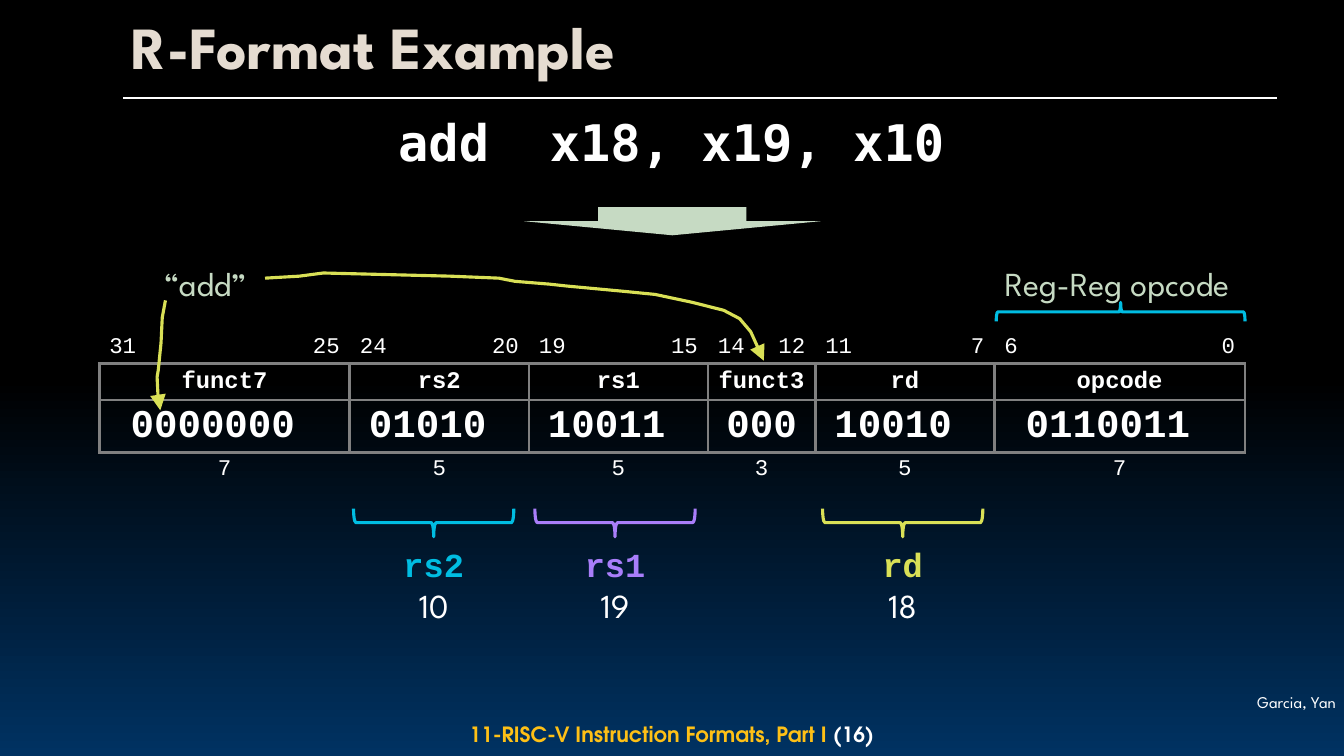
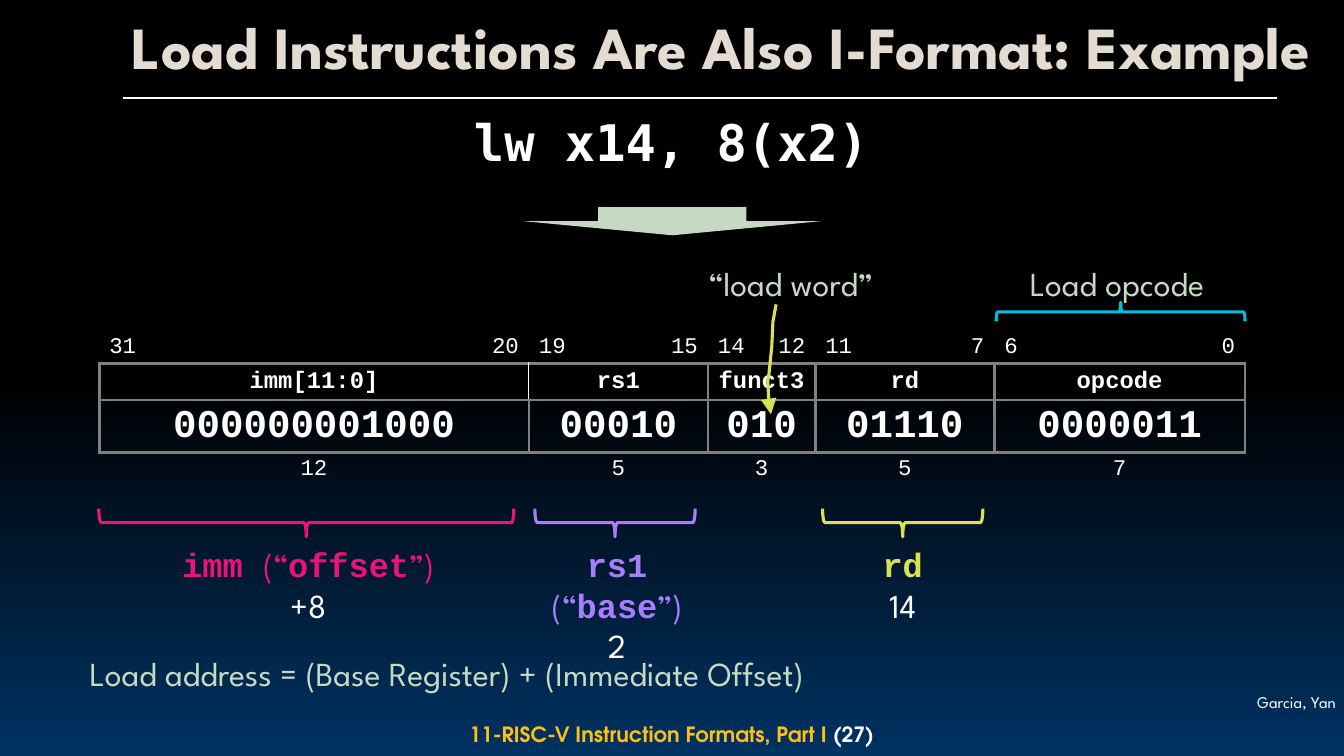
from lxml.etree import SubElement
from pptx import Presentation
from pptx.dml.color import RGBColor
from pptx.enum.shapes import MSO_CONNECTOR, MSO_SHAPE
from pptx.enum.text import MSO_ANCHOR, MSO_AUTO_SIZE, PP_ALIGN
from pptx.oxml import parse_xml
from pptx.oxml.ns import nsdecls, qn
from pptx.util import Cm, Pt

BLACK = RGBColor(0x00, 0x00, 0x00)
NAVY = RGBColor(0x00, 0x32, 0x62)
WHITE = RGBColor(0xFF, 0xFF, 0xFF)
CREAM = RGBColor(0xE5, 0xDC, 0xD1)
GOLD = RGBColor(0xFE, 0xC0, 0x16)
SAGE = RGBColor(0xC6, 0xDA, 0xC3)
GREY = RGBColor(0x80, 0x80, 0x80)
YELLOW = RGBColor(0xD9, 0xE0, 0x56)
PURPLE = RGBColor(0xA9, 0x7E, 0xFA)
CYAN = RGBColor(0x00, 0xBD, 0xE2)
PINK = RGBColor(0xEB, 0x13, 0x79)

SANS = "League Spartan"
MONO = "Courier New"
CODE = "DejaVu Sans Mono"
FOOT = "TeX Gyre Adventor"
NO_GRID = "{2D5ABB26-0587-4C30-8999-92F81FD0307C}"
LEFT, CENTER, RIGHT = PP_ALIGN.LEFT, PP_ALIGN.CENTER, PP_ALIGN.RIGHT

COLUMN_BITS = {3: [1.5, 1.5], 5: [2, 1, 2], 7: [2, 1, 1, 1, 2]}
COLUMN_BITS[12] = COLUMN_BITS[7] + COLUMN_BITS[5]

TO_FUNCT7 = [(4.17, 7.57), (4.09, 8), (4.06, 8.64), (3.99, 9.32),
             (3.96, 9.5), (3.99, 10.13), (4.04, 10.34)]
TO_FUNCT3 = [(6.68, 7.01), (7.54, 6.96), (8.15, 6.88), (11.35, 6.96),
             (12.57, 7.01), (12.98, 7.09), (13.84, 7.16), (14.3, 7.21),
             (15.7, 7.34), (16.51, 7.42), (17.45, 7.62), (18.24, 7.82),
             (18.64, 8.03), (18.92, 8.36), (19.25, 9.09)]


class Deck:
    """Holds the shared style and the slide being drawn."""

    def __init__(self):
        self.prs = Presentation()
        self.prs.slide_width, self.prs.slide_height = Cm(33.87), Cm(19.05)
        self.s = None

    def style(self, r, size, color=WHITE, font=SANS, bold=False):
        r.font.size, r.font.name, r.font.bold = Pt(size), font, bold
        r.font.color.rgb = color

    def text(self, x, y, w, h, paragraphs, size=24, align=CENTER):
        """Adds a text box; each paragraph is a list of (text, colour, font, bold)."""
        tf = self.s.shapes.add_textbox(Cm(x), Cm(y), Cm(w), Cm(h)).text_frame
        tf.word_wrap = True
        for i, runs in enumerate(paragraphs):
            p = tf.add_paragraph() if i else tf.paragraphs[0]
            p.alignment = align
            for text, *look in runs:
                r = p.add_run()
                r.text = text
                self.style(r, size, *look)
        return tf

    def slide(self, title, code, number):
        """Starts a slide with its background, footers, rule, title and instruction."""
        self.s = self.prs.slides.add_slide(self.prs.slide_layouts[5])
        fill = self.s.background.fill
        fill.gradient()
        fill.gradient_angle = 270
        for stop, color, position in zip(fill.gradient_stops, (BLACK, NAVY), (0.5, 1)):
            stop.color.rgb, stop.position = color, position

        tf = self.text(30.21, 17.35, 3.66, 0.66, [[("Garcia, Yan",)]], 11.7, RIGHT)
        tf.margin_left = tf.margin_right = Cm(0.2)
        tf.margin_top = tf.margin_bottom = Cm(0.08)
        tf = self.text(6.22, 18.08, 21.42, 0.82,
                       [[("11-RISC-V Instruction Formats, Part I ", GOLD, FOOT, True),
                         (f"({number})", WHITE, FOOT, True)]], 15)
        tf.vertical_anchor = MSO_ANCHOR.MIDDLE
        rule = self.s.shapes.add_connector(
            MSO_CONNECTOR.STRAIGHT, Cm(3.1), Cm(2.47), Cm(32.18), Cm(2.47))
        rule.line.color.rgb, rule.line.width = WHITE, Pt(1.5)
        SubElement(rule._element.spPr, qn("a:effectLst"))

        sp = self.s.shapes.title
        sp.left, sp.top, sp.width, sp.height = Cm(3.07), Cm(0.2), Cm(30.35), Cm(2.13)
        tf = sp.text_frame
        tf.text = title
        tf.word_wrap, tf.auto_size = True, MSO_AUTO_SIZE.NONE
        tf.vertical_anchor = MSO_ANCHOR.MIDDLE
        p = tf.paragraphs[0]
        p.alignment, p.line_spacing = LEFT, 0.9
        self.style(p.runs[0], 42.7, CREAM, bold=True)

        self.text(7.95, 2.67, 17.93, 1.8, [[(code, WHITE, CODE, True)]], 36)
        sp = self.s.shapes.add_shape(
            MSO_SHAPE.DOWN_ARROW, Cm(13.21), Cm(5.22), Cm(7.47), Cm(0.71))
        sp.shadow.inherit = False
        sp.fill.solid()
        sp.fill.fore_color.rgb = SAGE
        sp.line.fill.background()

    def label(self, cx, text):
        """Centres a note above the table."""
        self.text(cx - 3.57, 6.51, 7.14, 1.27, [[(text, SAGE)]])

    def brace(self, cx, cy, span, depth, color, rotation):
        """Adds a brace lying on its side around a centre point."""
        sp = self.s.shapes.add_shape(
            MSO_SHAPE.LEFT_BRACE, Cm(cx - depth / 2), Cm(cy - span / 2), Cm(depth), Cm(span))
        sp.rotation = rotation
        self.outline(sp, color)

    def outline(self, sp, color):
        """Leaves a shape unfilled with a coloured line."""
        sp.shadow.inherit = False
        sp.fill.background()
        sp.line.color.rgb, sp.line.width = color, Pt(2.25)

    def opcode(self, text):
        """Marks the opcode field from above."""
        self.label(28.15, text)
        self.brace(28.24, 7.86, 6.27, 0.48, CYAN, 90)

    def field(self, cx, span, name, value, color, note=None):
        """Marks a field from below with its name and decoded value."""
        self.brace(cx, 13.17, span, 0.71, color, 270)
        runs = [(name, color, MONO, True)]
        if note:
            cx += 0.05
            runs = [(name + " ", color, MONO, True), ("(“", color),
                    (note, color, MONO, True), ("”)", color)]
        self.text(cx - span / 2, 13.59, span, 2.31, [runs, [(value,)]])

    def arrow(self, points, dx=0, dy=0):
        """Draws an open path that ends in an arrowhead."""
        path = [(Cm(x + dx), Cm(y + dy)) for x, y in points]
        builder = self.s.shapes.build_freeform(*path[0])
        builder.add_line_segments(path[1:], close=False)
        sp = builder.convert_to_shape()
        self.outline(sp, YELLOW)
        SubElement(sp.line._get_or_add_ln(), qn("a:tailEnd"),
                   type="triangle", w="lg", len="lg")

    def border(self, cell, side, color, width):
        cell._tc.get_or_add_tcPr().append(parse_xml(
            f'<a:ln{side} {nsdecls("a")} w="{Pt(width)}"><a:solidFill>'
            f'<a:srgbClr val="{color}"/></a:solidFill></a:ln{side}>'))

    def cell(self, cell, text, size, bold=False, align=CENTER):
        """Writes one table cell; an empty one keeps only its text size."""
        cell.text = text
        p = cell.text_frame.paragraphs[0]
        p.alignment, p.line_spacing = align, 0.9
        if text:
            self.style(p.runs[0], size, WHITE, MONO, bold)
        else:
            SubElement(p._p, qn("a:endParaRPr"), sz=str(size * 100))

    def word(self, fields, thin_first=False):
        """Adds the 32-bit word; each field is (bits, name, value)."""
        count = sum(len(COLUMN_BITS[bits]) for bits, *_ in fields)
        t = self.s.shapes.add_table(
            4, count, Cm(2.5), Cm(8.23), Cm(28.88), Cm(4.09)).table
        t.first_row = t.horz_banding = False
        t._tbl.tblPr.find(qn("a:tableStyleId")).text = NO_GRID
        for row, height in zip(t.rows, (0.92, 0.92, 1.3, 0.94)):
            row.height = Cm(height)
        first, high = 0, 31
        for i, (bits, name, value) in enumerate(fields):
            last = first + len(COLUMN_BITS[bits]) - 1
            for c, width in enumerate(COLUMN_BITS[bits], first):
                t.columns[c].width = Cm(28.88 * width / 32)
                for r, sides in enumerate(("B", "LRTB", "LRTB", "T")):
                    cell = t.cell(r, c)
                    for side in sides:
                        thin = thin_first and r == 1 and (i, side) in ((0, "R"), (1, "L"))
                        self.border(cell, side, *((WHITE, 1) if thin else (GREY, 2.25)))
                    cell.fill.background()
                bit = {first: high, last: high - bits + 1}.get(c, "")
                self.cell(t.cell(0, c), str(bit), 16, align=RIGHT if c == last else LEFT)
                t.cell(0, c).vertical_anchor = MSO_ANCHOR.BOTTOM
            rows = ((name, 17, True), (value, 28, True), (str(bits), 16, False))
            for r, (text, size, bold) in enumerate(rows, 1):
                t.cell(r, first).merge(t.cell(r, last))
                self.cell(t.cell(r, first), text, size, bold)
            first, high = last + 1, high - bits


def main():
    d = Deck()

    d.slide("R-Format Example", "add  x18, x19, x10", 16)
    d.word([(7, "funct7", "0000000 "), (5, "rs2", "01010 "), (5, "rs1", "10011 "),
            (3, "funct3", "000 "), (5, "rd", "10010 "), (7, "opcode", "0110011 ")])
    d.label(5.17, "“add”")
    d.opcode("Reg-Reg opcode")
    d.field(10.93, 4.04, "rs2", "10", CYAN)
    d.field(15.5, 4.04, "rs1", "19", PURPLE)
    d.field(22.75, 4.04, "rd", "18", YELLOW)
    d.arrow(TO_FUNCT7)
    d.arrow(TO_FUNCT3)

    d.slide("Load Instructions Are Also I-Format: Example", "lw x14, 8(x2)", 27)
    d.word([(12, "imm[11:0]", "000000001000"), (5, "rs1", "00010"), (3, "funct3", "010"),
            (5, "rd", "01110"), (7, "opcode", "0000011")], thin_first=True)
    d.label(19.93, "“load word”")
    d.opcode("Load opcode")
    d.field(7.72, 10.46, "imm", "+8", PINK, "offset")
    d.field(15.5, 4.04, "rs1", "2", PURPLE, "base")
    d.field(22.75, 4.04, "rd", "14", YELLOW)
    d.arrow(TO_FUNCT7, 15.39, 0.1)
    d.text(2.01, 16.33, 20.88, 1.27,
           [[("Load address = (Base Register) + (Immediate Offset)", SAGE)]], align=LEFT)

    d.prs.save("out.pptx")


if __name__ == "__main__":
    main()
